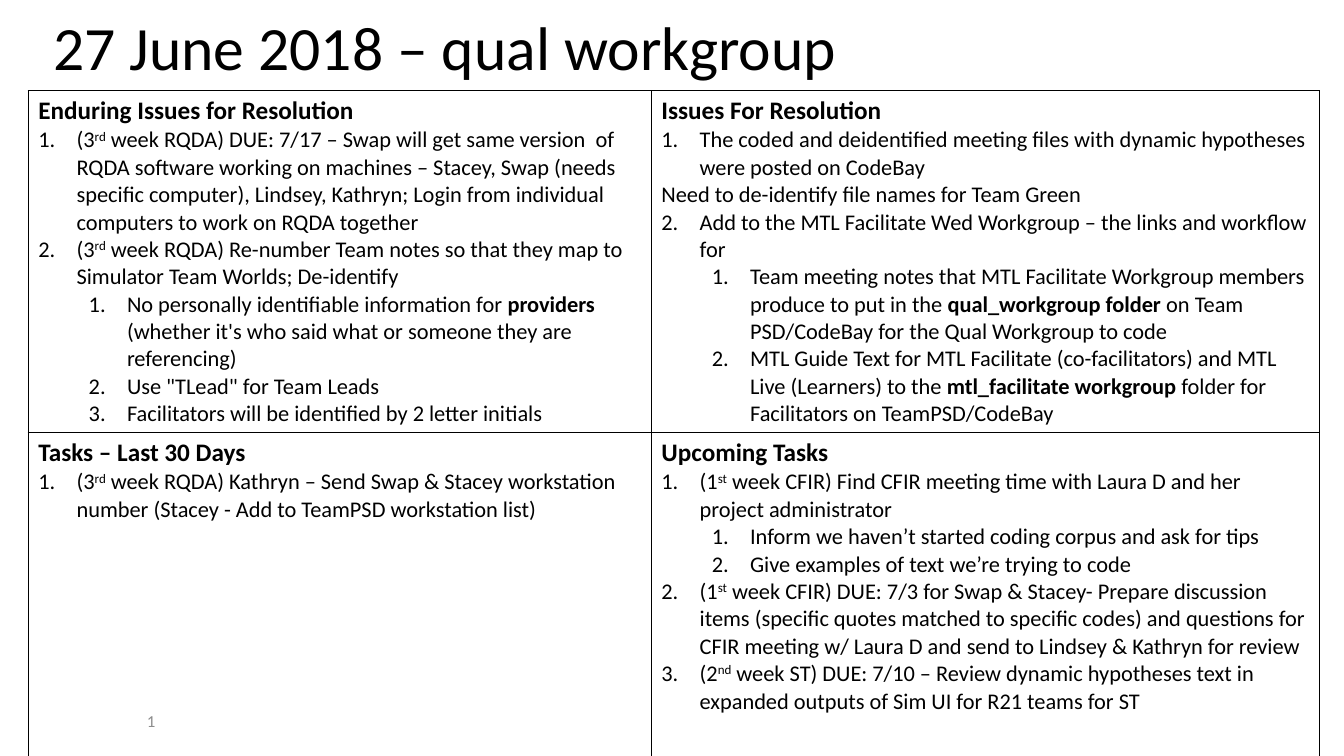
"""Build the qualitative workgroup agenda slide."""
from lxml import etree
from pptx import Presentation
from pptx import util as u
from pptx.dml.color import RGBColor
from pptx.enum import text
from pptx.oxml.ns import qn

COLORS = {"black": "000000", "gray": "8C8C8C"}
FONT = "Calibri"
TITLE = "27 June 2018 – qual workgroup"
COLUMN_WIDTHS = (6.18, 6.63)
ROW_HEIGHTS = (3.09, 3.24)
INDENTS = {"item": 0.38, "sub": 0.88}
HANGING = 0.38

RD, ST, ND = ("rd", "super"), ("st", "super"), ("nd", "super")

QUADRANTS = [
    [
        ("Enduring Issues for Resolution", [
            ("item", ["(3", RD, " week RQDA) DUE: 7/17 – Swap will get same version  of RQDA software "
                      "working on machines – Stacey, Swap (needs specific computer), Lindsey, Kathryn; "
                      "Login from individual computers to work on RQDA together"]),
            ("item", ["(3", RD, " week RQDA) Re-number Team notes so that they map to "
                      "Simulator Team Worlds; De-identify"]),
            ("sub", ["No personally identifiable information for ", ("providers ", "bold"),
                     "(whether it's who said what or someone they are referencing)"]),
            ("sub", ['Use "TLead" for Team Leads']),
            ("sub", ["Facilitators will be identified by 2 letter initials"]),
        ]),
        ("Issues For Resolution", [
            ("item", ["The coded and deidentified meeting files with dynamic hypotheses "
                      "were posted on CodeBay"]),
            ("plain", ["Need to de-identify file names for Team Green"]),
            ("item", ["Add to the MTL Facilitate Wed Workgroup – the links and workflow for"]),
            ("sub", ["Team meeting notes that MTL Facilitate Workgroup members produce to put in the ",
                     ("qual_workgroup folder ", "bold"),
                     "on Team PSD/CodeBay for the Qual Workgroup to code"]),
            ("sub", ["MTL Guide Text for MTL Facilitate (co-facilitators) and MTL Live (Learners) to the ",
                     ("mtl_facilitate workgroup ", "bold"),
                     "folder for Facilitators on TeamPSD/CodeBay"]),
        ]),
    ],
    [
        ("Tasks – Last 30 Days", [
            ("item", ["(3", RD, " week RQDA) Kathryn – Send Swap & Stacey workstation number "
                      "(Stacey - Add to TeamPSD workstation list)"]),
        ]),
        ("Upcoming Tasks", [
            ("item", ["(1", ST, " week CFIR) Find CFIR meeting time with Laura D and her "
                      "project administrator"]),
            ("sub", ["Inform we haven’t started coding corpus and ask for tips"]),
            ("sub", ["Give examples of text we’re trying to code"]),
            ("item", ["(1", ST, " week CFIR) DUE: 7/3 for Swap & Stacey- Prepare discussion items "
                      "(specific quotes matched to specific codes) and questions for CFIR meeting "
                      "w/ Laura D and send to Lindsey & Kathryn for review"]),
            ("item", ["(2", ND, " week ST) DUE: 7/10 – Review dynamic hypotheses text in expanded "
                      "outputs of Sim UI for R21 teams for ST"]),
        ]),
    ],
]


def style_font(font, size, color="black", bold=False):
    font.name, font.size, font.bold = FONT, u.Pt(size), bold
    font.color.rgb = RGBColor.from_string(COLORS[color])


def add_run(paragraph, words, size, mark=None):
    run = paragraph.add_run()
    run.text = words
    style_font(run.font, size, bold=mark == "bold")
    if mark == "super":
        run.font._element.set("baseline", "30000")


def number_paragraph(paragraph, kind, start):
    paragraph.level = 1 if kind == "sub" else 0
    properties = paragraph._p.get_or_add_pPr()
    properties.set("marL", str(u.Inches(INDENTS[kind])))
    properties.set("indent", str(-u.Inches(HANGING)))
    numbering = etree.SubElement(properties, qn("a:buAutoNum"), type="arabicPeriod")
    if start > 1:
        numbering.set("startAt", str(start))


def add_borders(cell):
    properties = cell._tc.get_or_add_tcPr()
    for side in ("a:lnL", "a:lnR", "a:lnT", "a:lnB"):
        line = etree.SubElement(properties, qn(side), w=str(u.Pt(1)))
        fill = etree.SubElement(line, qn("a:solidFill"))
        etree.SubElement(fill, qn("a:srgbClr"), val=COLORS["black"])


def fill_cell(cell, heading, entries):
    add_borders(cell)
    cell.fill.background()
    frame = cell.text_frame
    add_run(frame.paragraphs[0], heading, 18, "bold")
    items, start = 0, 1
    for kind, parts in entries:
        paragraph = frame.add_paragraph()
        if kind == "plain":
            start = items + 1
        else:
            number_paragraph(paragraph, kind, start if kind == "item" else 1)
            items += kind == "item"
        for part in parts:
            words, mark = (part, None) if isinstance(part, str) else part
            add_run(paragraph, words, 16, mark)


def add_title(slide):
    title = slide.shapes.title
    title.left, title.top = u.Inches(0.43), u.Inches(0.1)
    title.width, title.height = u.Inches(12.55), u.Inches(0.8)
    title.text_frame.vertical_anchor = text.MSO_ANCHOR.MIDDLE
    paragraph = title.text_frame.paragraphs[0]
    paragraph.alignment = text.PP_ALIGN.LEFT
    paragraph.line_spacing = 0.9
    add_run(paragraph, TITLE, 44)


def add_agenda(slide):
    frame = slide.shapes.add_table(2, 2, u.Inches(0.28), u.Inches(0.9),
                                   u.Inches(sum(COLUMN_WIDTHS)), u.Inches(sum(ROW_HEIGHTS)))
    table = frame.table
    table.first_row = table.horz_banding = False
    for column, width in zip(table.columns, COLUMN_WIDTHS):
        column.width = u.Inches(width)
    for row, height, quadrants in zip(table.rows, ROW_HEIGHTS, QUADRANTS):
        row.height = u.Inches(height)
        for cell, (heading, entries) in zip(row.cells, quadrants):
            fill_cell(cell, heading, entries)


def add_slide_number(slide):
    box = slide.shapes.add_textbox(u.Inches(0), u.Inches(6.95), u.Inches(3), u.Inches(0.4))
    box.text_frame.word_wrap = True
    box.text_frame.vertical_anchor = text.MSO_ANCHOR.MIDDLE
    paragraph = box.text_frame.paragraphs[0]
    paragraph.alignment = text.PP_ALIGN.CENTER
    run = paragraph.add_run()
    run.text = "1"
    style_font(run.font, 12, "gray")
    field = etree.SubElement(paragraph._p, qn("a:fld"), type="slidenum",
                             id="{B6F15528-21DE-4FAA-801E-634DDDAF4B2B}")
    field.extend(list(run._r))
    paragraph._p.remove(run._r)


def main():
    presentation = Presentation()
    presentation.slide_width, presentation.slide_height = u.Inches(13.33), u.Inches(7.5)
    slide = presentation.slides.add_slide(presentation.slide_layouts[5])
    add_title(slide)
    add_agenda(slide)
    add_slide_number(slide)
    presentation.save("out.pptx")


if __name__ == "__main__":
    main()
